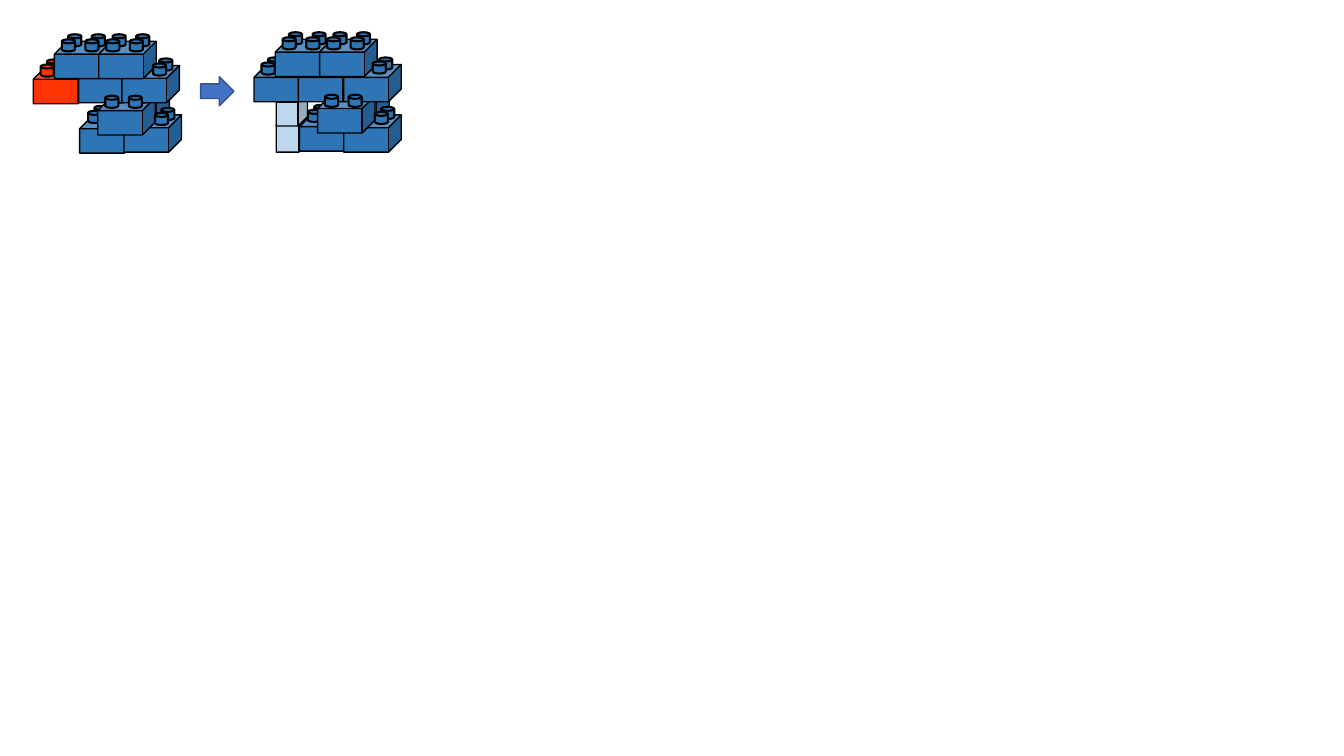
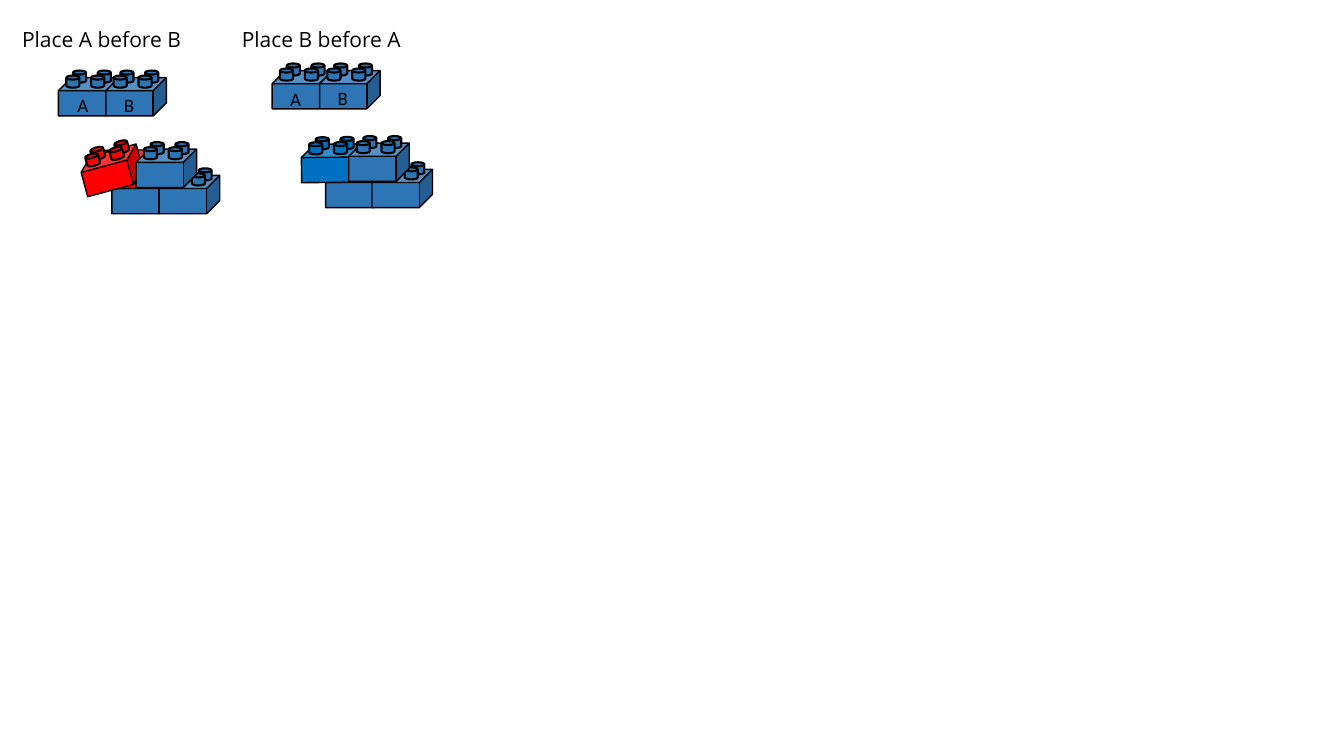
import math
from dataclasses import dataclass

from pptx import Presentation
from pptx.dml.color import RGBColor
from pptx.enum import shapes, text
from pptx.util import Inches, Pt


@dataclass(frozen=True)
class Theme:
    blue: str = "2E75B6"
    bright_blue: str = "0070C0"
    light_blue: str = "BDD7EE"
    orange_red: str = "FF3300"
    red: str = "FF0000"
    arrow: str = "4472C4"
    arrow_line: str = "325491"
    ink: str = "000000"
    caption_font: str = "Open Sans"
    caption_size: float = 15
    label_font: str = "Calibri"
    label_size: float = 13.5
    thin: float = 1
    thick: float = 1.5


THEME = Theme()
CUBE = shapes.MSO_SHAPE.CUBE
DISK = shapes.MSO_SHAPE.FLOWCHART_MAGNETIC_DISK
STUD_WIDTH, STUD_HEIGHT = 0.13, 0.12
STUD_OFFSETS = {
    "back right": (0.65, -0.07),
    "back left": (0.24, -0.07),
    "front right": (0.54, -0.02),
    "front left": (0.13, -0.02),
}
ALL = tuple(STUD_OFFSETS)
BACK, FRONT = ALL[:2], ALL[2:]
LEFT, RIGHT = ALL[1::2], ALL[::2]


def add_solid(slide, kind, box, fill, line=THEME.ink, line_width=THEME.thin, rotation=0):
    shape = slide.shapes.add_shape(kind, *map(Inches, box))
    shape.shadow.inherit = False
    shape.fill.solid()
    shape.fill.fore_color.rgb = RGBColor.from_string(fill)
    shape.line.color.rgb = RGBColor.from_string(line)
    shape.line.width = Pt(line_width)
    shape.rotation = rotation
    return shape


def add_brick(slide, origin, size, colour=THEME.blue, studs=ALL, body=True, rotation=0):
    left, top = origin
    width, height = size
    if body:
        cube = add_solid(slide, CUBE, (left, top, width, height), colour, rotation=rotation)
        cube.adjustments[0] = 0.344
    angle = math.radians(rotation)
    for stud in studs:
        across, down = STUD_OFFSETS[stud]
        x = across * width + STUD_WIDTH / 2 - width / 2
        y = down + STUD_HEIGHT / 2 - height / 2
        stud_left = left + width / 2 + x * math.cos(angle) - y * math.sin(angle) - STUD_WIDTH / 2
        stud_top = top + height / 2 + x * math.sin(angle) + y * math.cos(angle) - STUD_HEIGHT / 2
        box = (stud_left, stud_top, STUD_WIDTH, STUD_HEIGHT)
        add_solid(slide, DISK, box, colour, line_width=THEME.thick, rotation=rotation)


presentation = Presentation()
presentation.slide_width = Inches(13.33)
presentation.slide_height = Inches(7.5)
blank_layout = presentation.slide_layouts[6]

support_slide = presentation.slides.add_slide(blank_layout)
add_solid(support_slide, shapes.MSO_SHAPE.RIGHT_ARROW, (1.99, 0.76, 0.33, 0.29),
          THEME.arrow, THEME.arrow_line)

for box in ((2.74, 1.14, 0.32, 0.37), (2.74, 0.92, 0.31, 0.33)):
    support = add_solid(support_slide, CUBE, box, THEME.light_blue)
    support.adjustments[0] = 0.302

overhang = 3
tower = [
    ((0.79, 1.15), (2.97, 1.13), True, ()),
    ((0.80, 1.12), (2.98, 1.11), False, ALL),
    ((1.23, 1.14), (3.41, 1.14), True, LEFT),
    ((0.33, 0.66), (2.52, 0.64), True, ALL),
    ((1.11, 0.85), (3.29, 0.83), True, ALL),
    ((0.97, 0.97), (3.15, 0.95), True, BACK),
    ((0.78, 0.65), (2.96, 0.64), True, ALL),
    ((1.21, 0.65), (3.41, 0.64), True, ()),
    ((1.21, 0.65), (3.39, 0.64), False, BACK + LEFT[1:]),
    ((0.97, 0.97), (3.15, 0.96), False, FRONT),
    ((1.23, 1.14), (3.41, 1.13), False, RIGHT),
    ((0.54, 0.41), (2.73, 0.39), True, ALL),
    ((0.98, 0.41), (3.17, 0.39), True, ALL),
    ((1.21, 0.65), (3.39, 0.63), False, FRONT[:1]),
]
for tower_index in range(2):
    for row_index, row in enumerate(tower):
        unstable = tower_index == 0 and row_index == overhang
        colour = THEME.orange_red if unstable else THEME.blue
        add_brick(support_slide, row[tower_index], (0.57, 0.37), colour, row[3], row[2])

order_slide = presentation.slides.add_slide(blank_layout)
order_bricks = [
    ((3.23, 1.68), THEME.blue, ALL, 0),
    ((3.69, 1.68), THEME.blue, ALL, 0),
    ((2.99, 1.43), THEME.bright_blue, ALL, -0.6),
    ((3.46, 1.42), THEME.blue, ALL, 0),
    ((2.70, 0.70), THEME.blue, ALL, 0),
    ((3.17, 0.70), THEME.blue, ALL, 0),
    ((1.11, 1.74), THEME.blue, ALL, 0),
    ((1.58, 1.74), THEME.blue, ALL, 0),
    ((0.88, 1.49), THEME.red, (), -0.6),
    ((0.81, 1.50), THEME.red, ALL, -15.1),
    ((1.35, 1.48), THEME.blue, ALL, 0),
    ((0.58, 0.77), THEME.blue, ALL, 0),
    ((1.05, 0.77), THEME.blue, ALL, 0),
]
for origin, colour, studs, rotation in order_bricks:
    add_brick(order_slide, origin, (0.6, 0.38), colour, studs, rotation=rotation)

caption_style = (THEME.caption_font, THEME.caption_size, True)
label_style = (THEME.label_font, THEME.label_size, False)
texts = [
    ("Place A before B", (0.12, 0.21, 1.91, 0.35), caption_style),
    ("A", (0.67, 0.88, 0.37, 0.34), label_style),
    ("B", (1.13, 0.88, 0.35, 0.34), label_style),
    ("Place B before A", (2.30, 0.21, 1.88, 0.37), caption_style),
    ("A", (2.78, 0.82, 0.37, 0.34), label_style),
    ("B", (3.25, 0.81, 0.35, 0.34), label_style),
]
for wording, box, (font_name, font_size, wrap) in texts:
    frame = order_slide.shapes.add_textbox(*map(Inches, box)).text_frame
    frame.word_wrap = wrap
    frame.auto_size = text.MSO_AUTO_SIZE.SHAPE_TO_FIT_TEXT
    paragraph = frame.paragraphs[0]
    paragraph.text = wording
    paragraph.font.name = font_name
    paragraph.font.size = Pt(font_size)
    paragraph.font.color.rgb = RGBColor.from_string(THEME.ink)

presentation.save("out.pptx")
